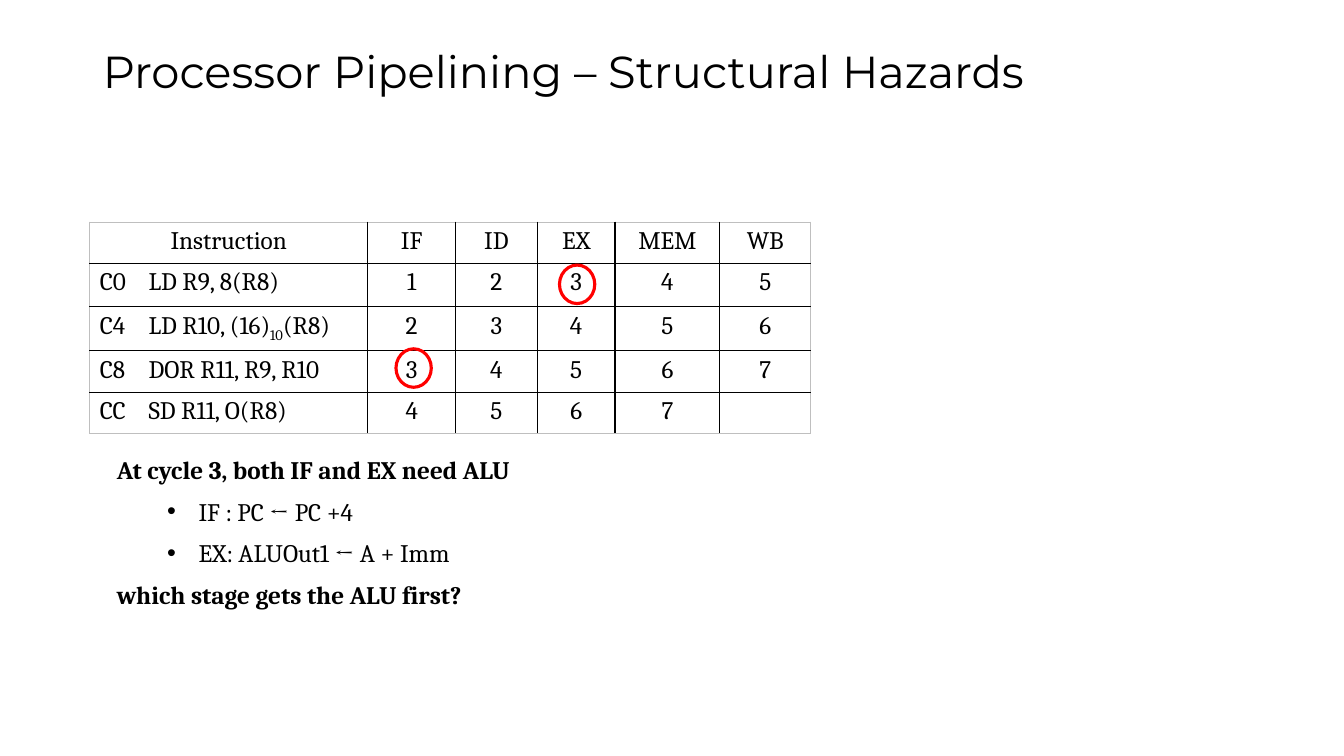
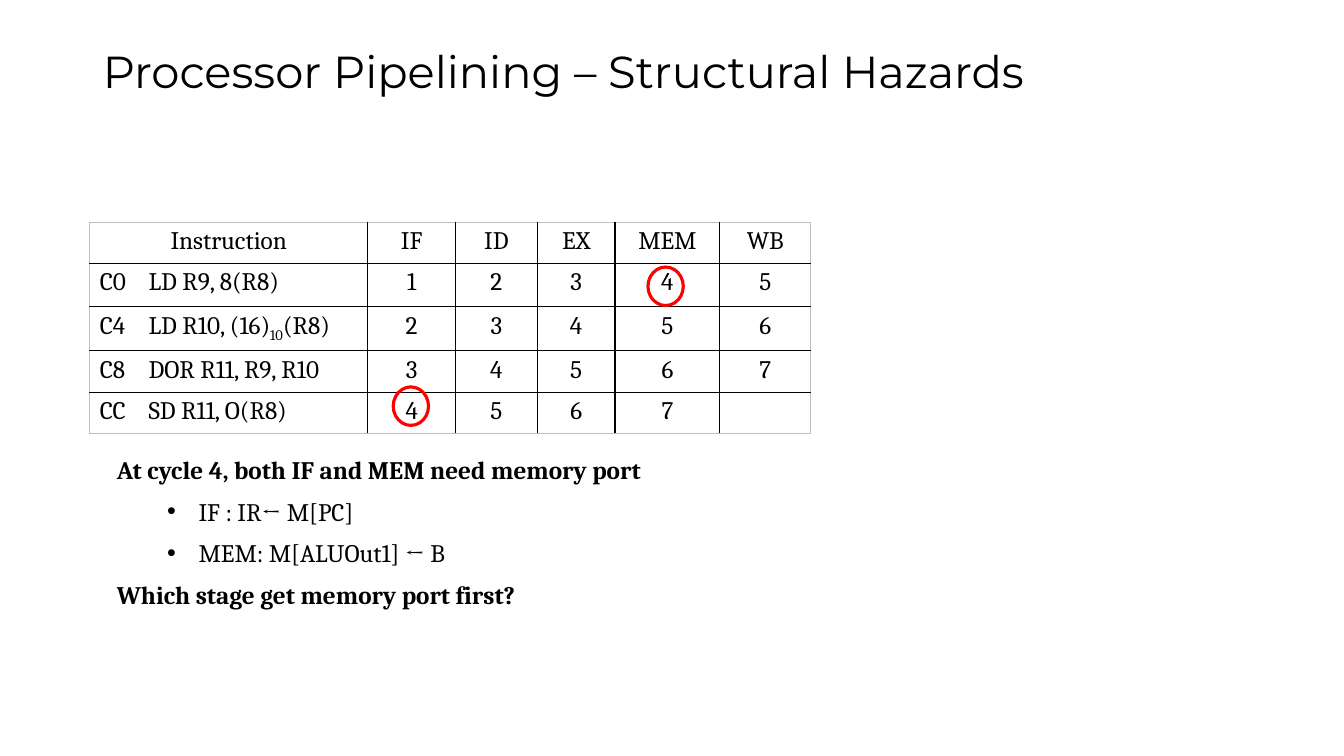
from lxml import etree
from pptx import Presentation
from pptx.dml.color import RGBColor
from pptx.enum import shapes, text
from pptx.oxml import ns
from pptx.util import Cm, Pt

BLACK, GREY, RED = "000000", "BFBFBF", "FF0000"
HEAD, BODY = "Montserrat", "Cambria"
TITLE = "Processor Pipelining – Structural Hazards"
COLS = [7.01, 2.21, 2.06, 1.96, 2.64, 2.29]
ROWS = [1.04, 1.09, 1.04, 1.04, 1.04]
STAGES = ["IF", "ID", "EX", "MEM", "WB"]
CODE = ["C0\tLD R9, 8(R8)", "C4\tLD R10, (16)|10|(R8)",
        "C8\tDOR R11, R9, R10", "CC\tSD R11, O(R8)"]
LAST = 7

SLIDES = [
    {"rings": [(14.1, 6.68), (9.98, 8.79)],
     "width": 13.51,
     "notes": [("At cycle 3, both IF and EX need ALU", 0),
               ("IF : PC ← PC +4", 1),
               ("EX: ALUOut1 ← A + Imm", 1),
               ("which stage gets the ALU first?", 0)]},
    {"rings": [(16.33, 6.73), (9.91, 9.75)],
     "width": 14.73,
     "notes": [("At cycle 4, both IF and MEM need memory port", 0),
               ("IF : IR← M[PC]", 1),
               ("MEM: M[ALUOut1] ← B", 1),
               ("Which stage get memory port first?", 0)]},
]


def color(value):
    return RGBColor.from_string(value)


def style(para, face, size, bold=False):
    for run in para.runs:
        font = run.font
        font.name, font.size, font.bold = face, Pt(size), bold
        font.color.rgb = color(BLACK)


def place(shape, left, top, width, height):
    shape.left, shape.top = Cm(left), Cm(top)
    shape.width, shape.height = Cm(width), Cm(height)


def node(parent, tag, **attrs):
    item = etree.SubElement(parent, ns.qn(tag))
    for key, value in attrs.items():
        item.set(key, str(value))
    return item


def add_title(slide):
    title = slide.shapes.title
    place(title, 2.34, 1.02, 29.21, 1.7)
    frame = title.text_frame
    frame.text = TITLE
    frame.vertical_anchor = text.MSO_ANCHOR.MIDDLE
    frame.auto_size = text.MSO_AUTO_SIZE.NONE
    para = frame.paragraphs[0]
    para.alignment = text.PP_ALIGN.LEFT
    para.line_spacing = 0.9
    style(para, HEAD, 32)


def add_edge(cell, side, outer):
    width, tone = (0.5, GREY) if outer else (1, BLACK)
    props = cell._tc.get_or_add_tcPr()
    line = node(props, "a:ln" + side, w=Pt(width))
    node(node(line, "a:solidFill"), "a:srgbClr", val=tone)


def fill_cell(cell, words, center):
    para = cell.text_frame.paragraphs[0]
    for i, part in enumerate(words.split("|")):
        run = para.add_run()
        run.text = part
        if i == 1:
            run._r.get_or_add_rPr().set("baseline", "-25000")
    style(para, BODY, 18)
    if center:
        para.alignment = text.PP_ALIGN.CENTER
    else:
        tabs = node(para._p.get_or_add_pPr(), "a:tabLst")
        node(tabs, "a:tab", pos=Cm(1.23), algn="l")


def table_rows():
    yield ["Instruction"] + STAGES
    for start, code in enumerate(CODE, 1):
        cycles = range(start, start + len(STAGES))
        yield [code] + [str(n) if n <= LAST else "" for n in cycles]


def add_table(slide):
    frame = slide.shapes.add_table(len(ROWS), len(COLS), Cm(2.26), Cm(5.59),
                                   Cm(sum(COLS)), Cm(sum(ROWS)))
    table = frame.table
    table.first_row = table.horz_banding = False
    for col, width in zip(table.columns, COLS):
        col.width = Cm(width)
    for row, height in zip(table.rows, ROWS):
        row.height = Cm(height)
    for r, line in enumerate(table_rows()):
        for c, words in enumerate(line):
            cell = table.cell(r, c)
            fill_cell(cell, words, r == 0 or c > 0)
            add_edge(cell, "L", c == 0)
            add_edge(cell, "R", c == len(COLS) - 1)
            add_edge(cell, "T", r == 0)
            add_edge(cell, "B", r == len(ROWS) - 1)
            cell.fill.background()


def add_ring(slide, left, top):
    ring = slide.shapes.add_shape(shapes.MSO_SHAPE.OVAL, Cm(left), Cm(top),
                                  Cm(0.89), Cm(0.97))
    ring.shadow.inherit = False
    ring.fill.background()
    ring.line.color.rgb = color(RED)
    ring.line.width = Pt(2.25)


def add_notes(slide, notes, width):
    body = slide.placeholders[1]
    place(body, 2.69, 11.33, width, 4.19)
    frame = body.text_frame
    frame.text = "\n".join(words for words, level in notes)
    frame.auto_size = text.MSO_AUTO_SIZE.SHAPE_TO_FIT_TEXT
    for para, (words, level) in zip(frame.paragraphs, notes):
        para.level = level
        para.space_before = Pt(8)
        style(para, BODY, 18, level == 0)
        props = para._p.get_or_add_pPr()
        props.set("marL", str(Cm(2.06 * level)))
        props.set("indent", str(Cm(-0.79 * level)))
        if level:
            node(props, "a:buFont", typeface="Arial")
            node(props, "a:buChar", char="•")
        else:
            node(props, "a:buNone")


def main():
    deck = Presentation()
    deck.slide_width, deck.slide_height = Cm(33.87), Cm(19.05)
    for data in SLIDES:
        slide = deck.slides.add_slide(deck.slide_layouts[1])
        add_title(slide)
        add_table(slide)
        for left, top in data["rings"]:
            add_ring(slide, left, top)
        add_notes(slide, data["notes"], data["width"])
    deck.save("out.pptx")


main()
